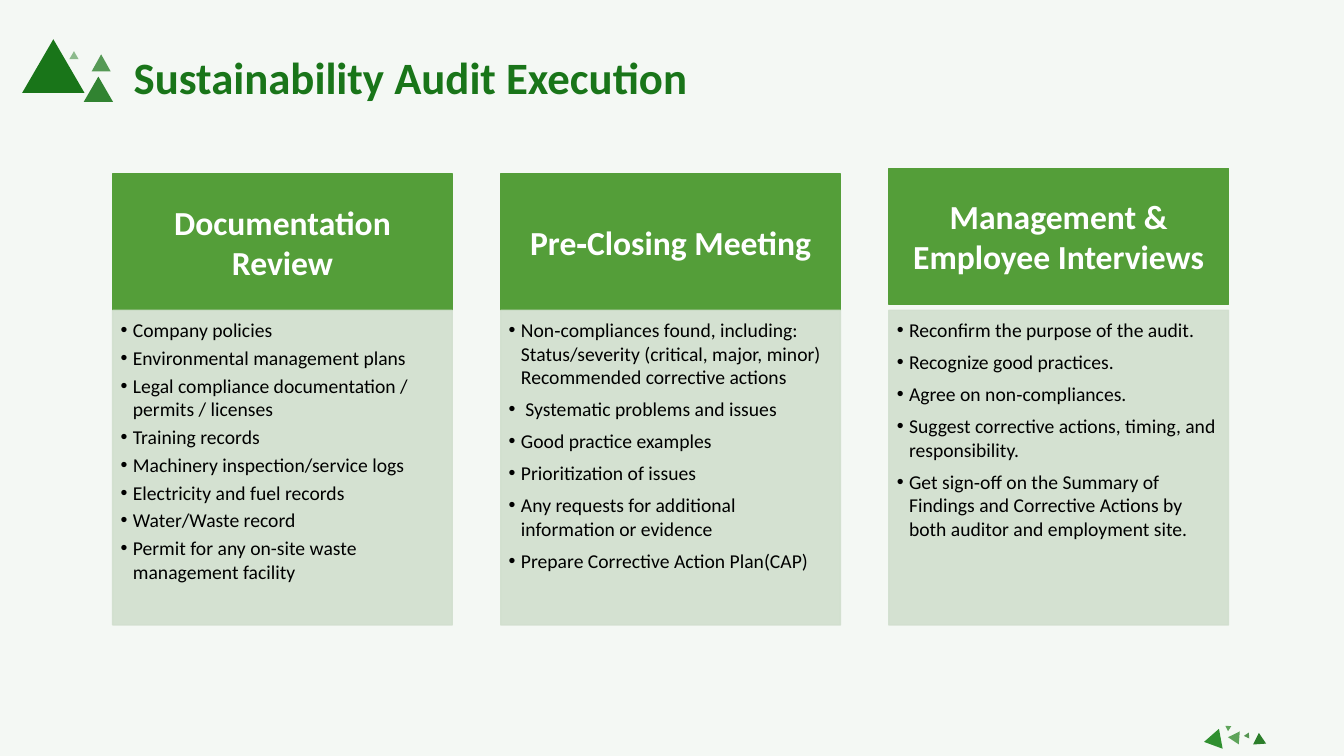
from dataclasses import dataclass

from lxml import etree
from pptx import Presentation
from pptx import util as u
from pptx.dml.color import RGBColor
from pptx.enum import shapes, text
from pptx.oxml import ns


@dataclass(frozen=True)
class Theme:
    font: str = "Calibri"
    green: str = "197519"
    header: str = "549E39"
    panel: str = "D1DFCE"
    background: str = "F4F8F4"
    white: str = "FFFFFF"
    black: str = "000000"
    title_size: int = 32
    header_size: int = 24
    body_size: int = 14


THEME = Theme()

# Heading, rise of the heading above the row, space after bullets (pt), bullets
STEPS = [
    ("Documentation Review", 0, 3, [
        "Company policies",
        "Environmental management plans",
        "Legal compliance documentation / permits / licenses",
        "Training records",
        "Machinery inspection/service logs",
        "Electricity and fuel records",
        "Water/Waste record",
        "Permit for any on-site waste management facility",
    ]),
    ("Pre‐Closing Meeting", 0, 6, [
        "Non‐compliances found, including: Status/severity (critical, major, minor) "
        "Recommended corrective actions",
        " Systematic problems and issues",
        "Good practice examples",
        "Prioritization of issues",
        "Any requests for additional information or evidence",
        "Prepare Corrective Action Plan(CAP)",
    ]),
    ("Management & Employee Interviews", 0.15, 6, [
        "Reconfirm the purpose of the audit.",
        "Recognize good practices.",
        "Agree on non‐compliances.",
        "Suggest corrective actions, timing, and responsibility.",
        "Get sign‐off on the Summary of Findings and Corrective Actions "
        "by both auditor and employment site.",
    ]),
]

# Left, top, width, height (cm, within the cluster), rotation, colour, opacity %
TITLE_TRIANGLES = [
    (0, 0, 1.57, 1.35, 0, THEME.green, 100),
    (1.55, 0.94, 0.74, 0.64, 0, THEME.green, 89),
    (1.19, 0.3, 0.23, 0.2, 0, THEME.green, 47),
    (1.75, 0.38, 0.48, 0.43, 0, THEME.green, 72),
]
CORNER_TRIANGLES = [
    (0.69, 0.23, 0.33, 0.28, 153.9, "5EA45A", 100),
    (0, 0.18, 0.51, 0.43, 259.5, "309030", 100),
    (1.27, 0.21, 0.33, 0.28, 356.2, "2B7E2A", 100),
    (0.56, 0, 0.15, 0.13, 303.5, "5EA45A", 100),
    (1.07, 0.23, 0.15, 0.13, 145.8, "559551", 100),
]


def set_format(target, values):
    for name, value in values.items():
        setattr(target, name, value)


def set_font(paragraph, size, color, bold=False):
    set_format(paragraph.font, {"name": THEME.font, "size": u.Pt(size), "bold": bold})
    paragraph.font.color.rgb = RGBColor.from_string(color)


def set_frame(frame, anchor, insets):
    sides = ("margin_left", "margin_top", "margin_right", "margin_bottom")
    set_format(frame, {"word_wrap": True, "vertical_anchor": anchor})
    set_format(frame, {side: u.Cm(inset) for side, inset in zip(sides, insets)})


def add_filled(slide, preset, box, color, opacity=100, outlined=False):
    filled = slide.shapes.add_shape(preset, *map(u.Cm, box))
    filled.shadow.inherit = False
    paints = [filled.fill]
    if outlined:
        filled.line.width = u.Pt(1)
        paints.append(filled.line.fill)
    else:
        filled.line.fill.background()
    for paint in paints:
        paint.solid()
        paint.fore_color.rgb = RGBColor.from_string(color)
    if opacity < 100:
        for tint in filled._element.spPr.iter(ns.qn("a:srgbClr")):
            etree.SubElement(tint, ns.qn("a:alpha"), val=str(opacity * 1000))
    return filled


def add_triangles(slide, left, top, triangles):
    for dx, dy, width, height, rotation, color, opacity in triangles:
        triangle = add_filled(slide, shapes.MSO_SHAPE.ISOSCELES_TRIANGLE,
                              (left + dx, top + dy, width, height), color, opacity)
        triangle.rotation = rotation


def add_title(slide, box, wording):
    title = slide.shapes.add_textbox(*map(u.Cm, box)).text_frame
    set_frame(title, text.MSO_ANCHOR.TOP, (0.25, 0.13, 0.25, 0.13))
    title.text = wording
    set_font(title.paragraphs[0], THEME.title_size, THEME.green, True)


def add_bullet(paragraph):
    properties = paragraph._p.get_or_add_pPr()
    properties.set("marL", str(u.Cm(0.31)))
    properties.set("indent", str(-u.Cm(0.31)))
    etree.SubElement(properties, ns.qn("a:buFont"), typeface="Arial")
    etree.SubElement(properties, ns.qn("a:buChar"), char="•")


def add_step(slide, box, step):
    left, top, width, height = box
    heading, rise, gap, bullets = step
    header_height = 3.43

    # Heading block
    header = add_filled(slide, shapes.MSO_SHAPE.RECTANGLE,
                        (left, top - rise, width, header_height),
                        THEME.header, outlined=True).text_frame
    set_frame(header, text.MSO_ANCHOR.MIDDLE, (0.48, 0.28, 0.48, 0.28))
    header.text = heading
    header.paragraphs[0].alignment = text.PP_ALIGN.CENTER
    set_font(header.paragraphs[0], THEME.header_size, THEME.white, True)

    # Bullet panel
    panel = add_filled(slide, shapes.MSO_SHAPE.RECTANGLE,
                       (left, top + header_height, width, height - header_height),
                       THEME.panel, 90, outlined=True).text_frame
    set_frame(panel, text.MSO_ANCHOR.TOP, (0.2, 0.2, 0.28, 0.3))
    panel.text = "\n".join(bullets)
    for point in panel.paragraphs:
        add_bullet(point)
        set_format(point, {"alignment": text.PP_ALIGN.LEFT, "space_after": u.Pt(gap)})
        set_font(point, THEME.body_size, THEME.black)


def add_steps(slide, box, steps, gutter):
    left, top, width, height = box
    step_width = (width - gutter * (len(steps) - 1)) / len(steps)
    for index, step in enumerate(steps):
        step_left = left + index * (step_width + gutter)
        add_step(slide, (step_left, top, step_width, height), step)


def main():
    deck = Presentation()
    set_format(deck, {"slide_width": u.Cm(33.87), "slide_height": u.Cm(19.05)})
    slide = deck.slides.add_slide(deck.slide_layouts[6])
    slide.background.fill.solid()
    slide.background.fill.fore_color.rgb = RGBColor.from_string(THEME.background)

    add_triangles(slide, 30.3, 18.26, CORNER_TRIANGLES)
    add_triangles(slide, 0.56, 0.99, TITLE_TRIANGLES)
    add_title(slide, (3.12, 1.12, 14.71, 1.63), "Sustainability Audit Execution")
    add_steps(slide, (2.84, 4.39, 28.12, 11.36), STEPS, 1.22)
    deck.save("out.pptx")


if __name__ == "__main__":
    main()
